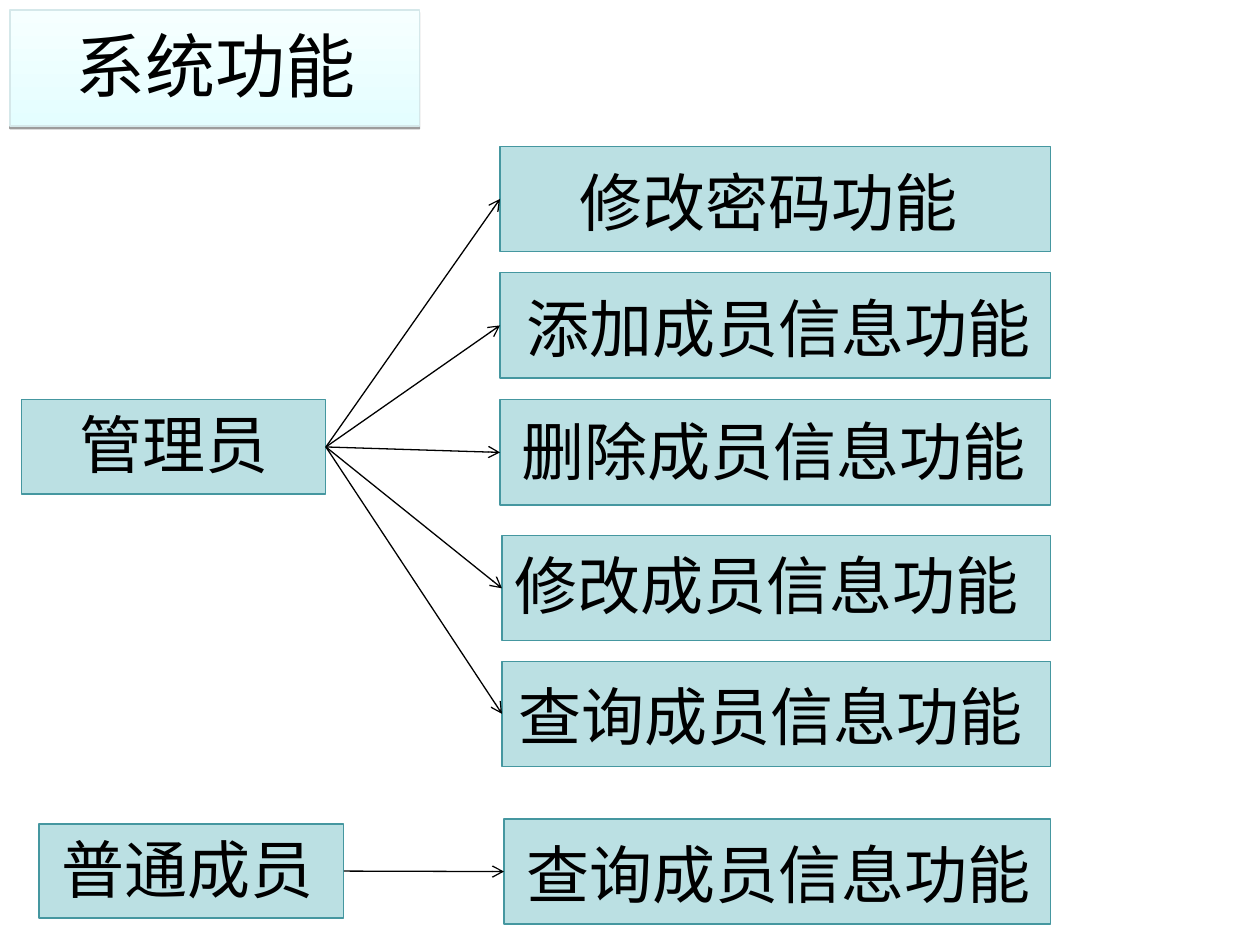
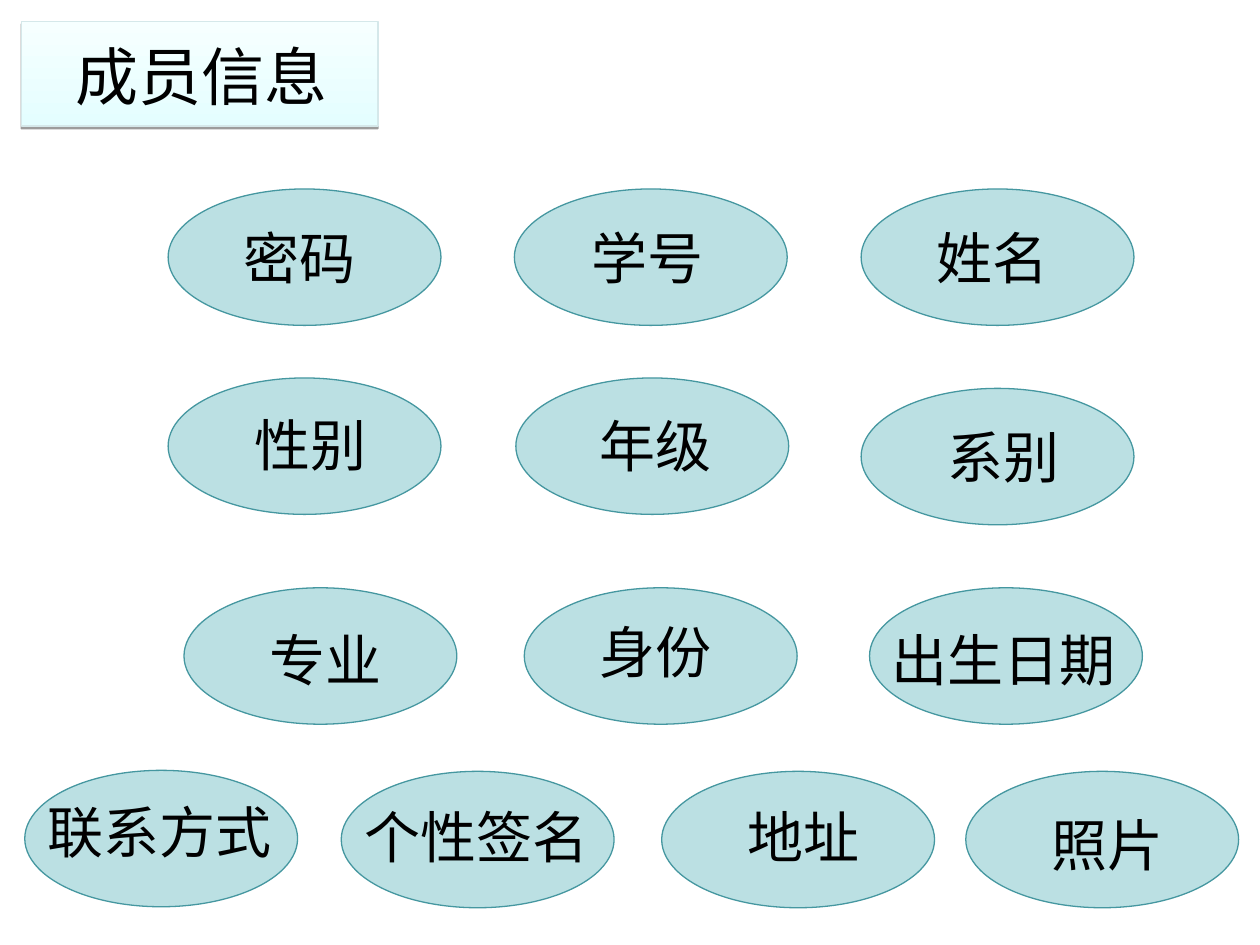
"""Build two slides: the system's functions by role, and the fields of a member."""
import pptx
import pptx.util
import pptx.dml.color
import pptx.enum.shapes
import pptx.enum.text
import pptx.oxml
import pptx.oxml.ns

Cm, Pt = pptx.util.Cm, pptx.util.Pt
Color = pptx.dml.color.RGBColor
Kind = pptx.enum.shapes.MSO_SHAPE
NS = pptx.oxml.ns.nsdecls("a")

BLACK = Color(0x00, 0x00, 0x00)
TEAL = Color(0xBB, 0xE0, 0xE3)
EDGE = Color(0x45, 0x97, 0xA0)
PALE = Color(0xE4, 0xFE, 0xFF)
WHITE = Color(0xF6, 0xFF, 0xFF)
RIM = Color(0xD5, 0xE8, 0xEA)
FONT = "Calibri"

# text, box (left, top, width, height), label offset, size
TITLES = [
    ("系统功能", (0.2, 0.2, 8.26, 2.34), (1.07, 0.13), 40),
    ("成员信息", (0.43, 0.43, 7.19, 2.11), (0.84, 0.2), 36),
]

ROLES = [
    ("管理员", (0.43, 8.06), (0.93, 0), [
        ("修改密码功能", (10.08, 2.95), (1.35, 0.23)),
        ("添加成员信息功能", (10.08, 5.5), (0.29, 0.22)),
        ("删除成员信息功能", (10.08, 8.06), (0.19, 0.14)),
        ("修改成员信息功能", (10.12, 10.8), (0, 0.1)),
        ("查询成员信息功能", (10.12, 13.33), (0.08, 0.2)),
    ]),
    ("普通成员", (0.79, 16.61), (0.21, 0), [
        ("查询成员信息功能", (10.16, 16.51), (0.21, 0.21)),
    ]),
]
ROLE_SIZE = (6.14, 1.9)
TASK_RIGHT, TASK_HIGH = 21.18, 2.12

FIELDS = [
    ("密码", (3.39, 3.81), (1.26, 0.58)),
    ("学号", (10.37, 3.81), (1.31, 0.58)),
    ("姓名", (17.36, 3.81), (1.27, 0.58)),
    ("性别", (3.39, 7.62), (1.5, 0.53)),
    ("年级", (10.4, 7.62), (1.44, 0.56)),
    ("系别", (17.36, 7.83), (1.5, 0.56)),
    ("专业", (3.71, 11.85), (1.47, 0.64)),
    ("身份", (10.57, 11.85), (1.27, 0.48)),
    ("出生日期", (17.53, 11.85), (0.2, 0.64)),
    ("联系方式", (0.5, 15.53), (0.21, 0.43)),
    ("个性签名", (6.88, 15.55), (0.21, 0.51)),
    ("地址", (13.34, 15.55), (1.47, 0.51)),
    ("照片", (19.47, 15.55), (1.47, 0.66)),
]
FIELD_SIZE = (5.5, 2.75)


def add_label(slide, text, left, top, size):
    wide = len(text) * size * 2.54 / 72 + 0.6
    high = size * 0.042 + 0.27
    label = slide.shapes.add_textbox(Cm(left), Cm(top), Cm(wide), Cm(high))
    frame = label.text_frame
    frame.text = text
    frame.word_wrap = True
    frame.auto_size = pptx.enum.text.MSO_AUTO_SIZE.SHAPE_TO_FIT_TEXT
    font = frame.paragraphs[0].runs[0].font
    font.name, font.size = FONT, Pt(size)
    font.color.rgb = BLACK


def add_node(slide, kind, text, box, shift, size):
    node = slide.shapes.add_shape(kind, *map(Cm, box))
    node.shadow.inherit = False
    node.fill.solid()
    node.fill.fore_color.rgb = TEAL
    node.line.color.rgb = EDGE
    node.line.width = Pt(0.75)
    add_label(slide, text, box[0] + shift[0], box[1] + shift[1], size)
    return node


def add_title(slide, text, box, shift, size):
    node = add_node(slide, Kind.RECTANGLE, text, box, shift, size)
    node.line.color.rgb = RIM
    node.fill.gradient()
    node.fill.gradient_angle = 90
    for stop, color in zip(node.fill.gradient_stops, (PALE, WHITE)):
        stop.color.rgb = color
    effects = node._element.spPr.find(pptx.oxml.ns.qn("a:effectLst"))
    effects.append(pptx.oxml.parse_xml(
        f'<a:outerShdw {NS} blurRad="0" dist="{Pt(1.6)}" dir="5400000" rotWithShape="0">'
        f'<a:srgbClr val="{BLACK}"><a:alpha val="38000"/></a:srgbClr></a:outerShdw>'))


def add_arrow(slide, start, end):
    arrow = slide.shapes.add_connector(pptx.enum.shapes.MSO_CONNECTOR.STRAIGHT, 0, 0, 0, 0)
    arrow.begin_connect(start, 3)
    arrow.end_connect(end, 1)
    arrow.line.color.rgb = BLACK
    arrow.line.width = Pt(0.75)
    arrow.line._get_or_add_ln().append(pptx.oxml.parse_xml(f'<a:tailEnd {NS} type="arrow"/>'))
    arrow._element.spPr.append(pptx.oxml.parse_xml(f"<a:effectLst {NS}/>"))


def draw_roles(slide):
    for text, place, shift, tasks in ROLES:
        role = add_node(slide, Kind.RECTANGLE, text, place + ROLE_SIZE, shift, 36)
        for name, spot, inset in tasks:
            box = spot + (TASK_RIGHT - spot[0], TASK_HIGH)
            add_arrow(slide, role, add_node(slide, Kind.RECTANGLE, name, box, inset, 36))


def draw_fields(slide):
    for text, place, shift in FIELDS:
        add_node(slide, Kind.OVAL, text, place + FIELD_SIZE, shift, 32)


def main():
    deck = pptx.Presentation()
    deck.slide_width, deck.slide_height = Cm(25.4), Cm(19.05)
    for title, draw in zip(TITLES, (draw_roles, draw_fields)):
        slide = deck.slides.add_slide(deck.slide_layouts[6])
        add_title(slide, *title)
        draw(slide)
    deck.save("out.pptx")


if __name__ == "__main__":
    main()
